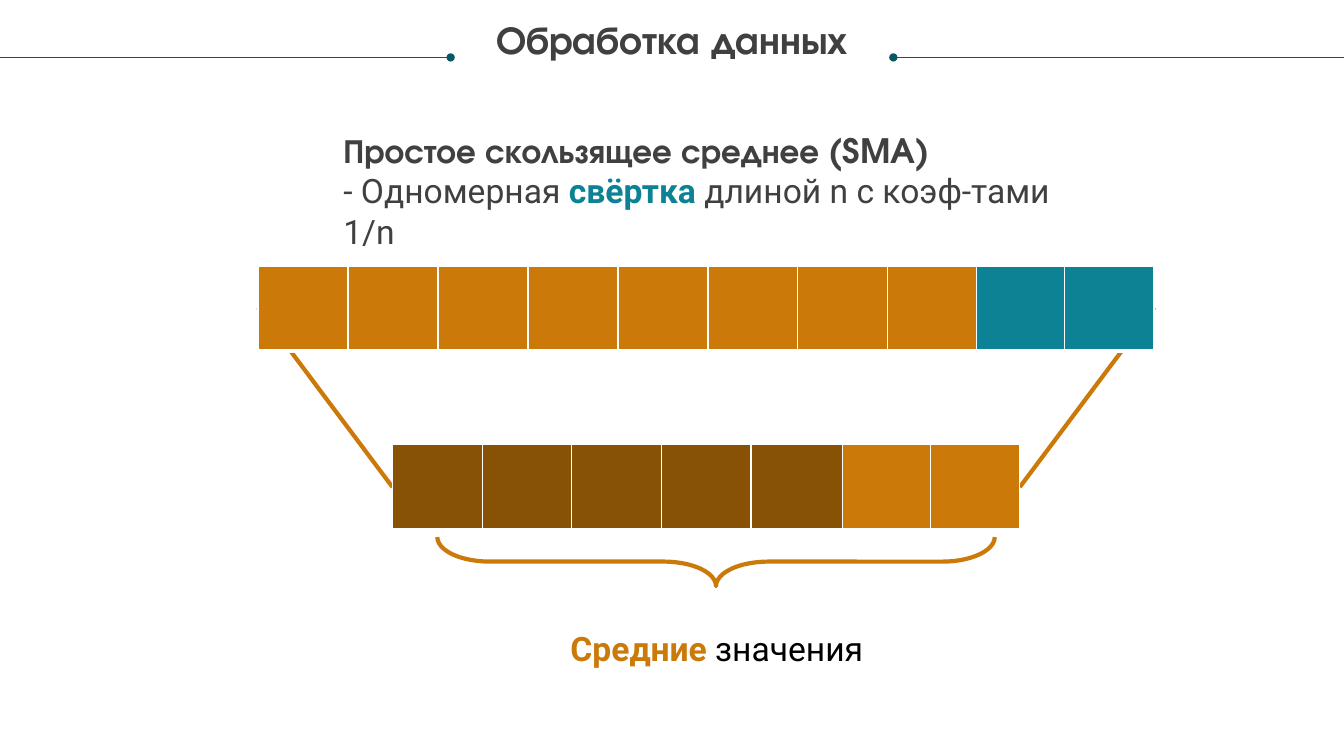
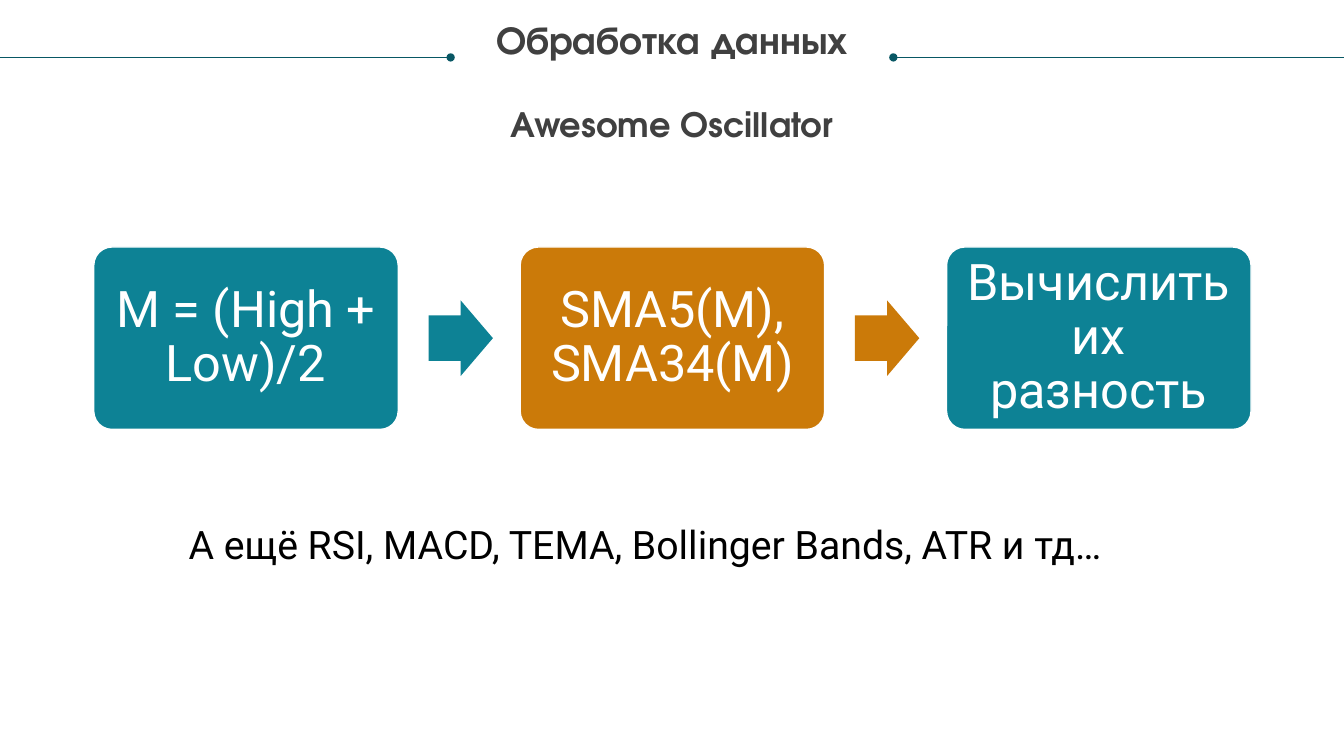
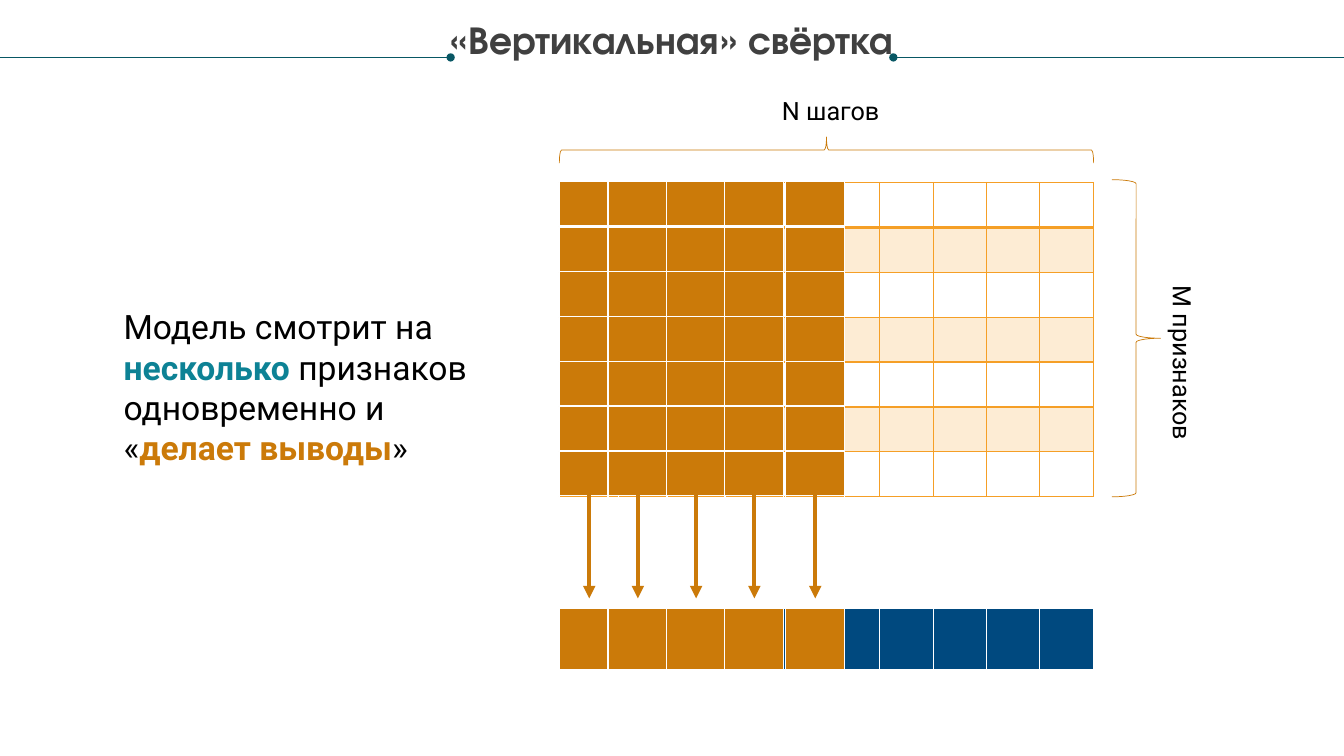
import pptx
import pptx.dml.color
import pptx.enum.shapes
import pptx.enum.text
import pptx.oxml
import pptx.oxml.ns
import pptx.util
from typing import NamedTuple

Pt = pptx.util.Pt
Inches = pptx.util.Inches
Shape = pptx.enum.shapes.MSO_SHAPE
Align = pptx.enum.text.PP_ALIGN
Anchor = pptx.enum.text.MSO_ANCHOR

COLORS = {
    "orange": "CB7A09", "brown": "875206", "teal": "0D8295", "navy": "00497F",
    "rule": "085764", "grid": "F59F26", "band": "FDECD4", "white": "FFFFFF",
    "black": "000000", "gray": "404040",
}
STYLES = {
    "title": {"name": "TeX Gyre Adventor", "size": Pt(28), "bold": True, "color": "gray"},
    "heading": {"name": "TeX Gyre Adventor", "size": Pt(24), "bold": True, "color": "gray"},
    "body": {"name": "Roboto", "size": Pt(24), "bold": False, "color": "black"},
    "gray body": {"name": "Roboto", "size": Pt(24), "bold": False, "color": "gray"},
    "teal key": {"name": "Roboto", "size": Pt(24), "bold": True, "color": "teal"},
    "orange key": {"name": "Roboto", "size": Pt(24), "bold": True, "color": "orange"},
    "label": {"name": "Roboto", "size": Pt(18), "bold": False, "color": "black"},
    "note": {"name": "Roboto", "size": Pt(28), "bold": False, "color": "black"},
    "step": {"name": "Roboto", "size": Pt(36), "bold": False, "color": "white"},
}
SLIDE_SIZE = Inches(13.33), Inches(7.5)


class Grid(NamedTuple):
    """A region measured in its own columns and rows."""
    left: float
    top: float
    column: float
    row: float

    def point(self, column, row):
        """Return the slide position of a grid point."""
        return int(self.left + column * self.column), int(self.top + row * self.row)

    def box(self, column, row, columns, rows):
        """Return left, top, width and height of a block of cells."""
        return *self.point(column, row), int(columns * self.column), int(rows * self.row)

    def inner(self, box, columns, rows):
        """Return a finer grid laid over a block of this one."""
        left, top, width, height = self.box(*box)
        return Grid(left, top, width / columns, height / rows)


PAGE = Grid(0, 0, SLIDE_SIZE[0] / 100, SLIDE_SIZE[1] / 100)


def rgb(color):
    """Return the named colour."""
    return pptx.dml.color.RGBColor.from_string(COLORS[color])


def assign(target, values):
    """Set every attribute of the dict on the target."""
    for name, value in values.items():
        setattr(target, name, value)


def turned(box):
    """Return the box that fills the given one after a quarter turn."""
    left, top, width, height = box
    return left + (width - height) // 2, top + (height - width) // 2, height, width


def write(shape, paragraphs, inset=(0.1, 0.05), align=Align.LEFT, spacing=1.0, anchor=Anchor.TOP):
    """Fill a shape with paragraphs of (text, style) runs."""
    frame = shape.text_frame
    side, end = map(Inches, inset)
    assign(frame, {"word_wrap": True, "vertical_anchor": anchor, "margin_left": side,
                   "margin_right": side, "margin_top": end, "margin_bottom": end})
    for index, runs in enumerate(paragraphs):
        paragraph = frame.add_paragraph() if index else frame.paragraphs[0]
        assign(paragraph, {"alignment": align, "line_spacing": spacing})
        for text, style in runs:
            run = paragraph.add_run()
            run.text = text
            values = dict(STYLES[style])
            run.font.color.rgb = rgb(values.pop("color"))
            assign(run.font, values)


def add_text(slide, box, paragraphs, rotation=0, **layout):
    """Add a text box, turned if a rotation is given."""
    shape = slide.shapes.add_textbox(*(turned(box) if rotation else box))
    shape.rotation = rotation
    write(shape, paragraphs, **layout)


def add_shape(slide, kind, box, fill=None, line=None, width=1, rotation=0, adjustments=()):
    """Add a flat preset shape."""
    shape = slide.shapes.add_shape(kind, *(turned(box) if rotation else box))
    shape.shadow.inherit = False
    shape.rotation = rotation
    for index, value in enumerate(adjustments):
        shape.adjustments[index] = value
    for target, color in ((shape.fill, fill), (shape.line.fill, line)):
        if color:
            target.solid()
            target.fore_color.rgb = rgb(color)
        else:
            target.background()
    if line:
        shape.line.width = Pt(width)
    return shape


def add_line(slide, start, end, color, width, **ends):
    """Add a straight line with optional headEnd and tailEnd marks."""
    line = slide.shapes.add_connector(pptx.enum.shapes.MSO_CONNECTOR.STRAIGHT, *start, *end)
    line.line.color.rgb = rgb(color)
    line.line.width = Pt(width)
    properties = line._element.spPr
    for tag, kind in ends.items():
        mark = pptx.oxml.parse_xml(f'<a:{tag} {pptx.oxml.ns.nsdecls("a")} type="{kind}"/>')
        line.line._get_or_add_ln().append(mark)
    properties.append(pptx.oxml.parse_xml(f'<a:effectLst {pptx.oxml.ns.nsdecls("a")}/>'))


def add_cells(slide, box, colors, border="white", heavy=3):
    """Add a table of empty cells, with a heavy line under its first row."""
    table = slide.shapes.add_table(len(colors), len(colors[0]), *box).table
    assign(table, {"first_row": False, "horz_banding": False})
    for row_index, row in enumerate(colors):
        for column_index, color in enumerate(row):
            cell = table.cell(row_index, column_index)
            widths = {"L": 1, "R": 1, "T": heavy if row_index == 1 else 1,
                      "B": heavy if row_index == 0 else 1}
            for side, width in widths.items():
                cell._tc.get_or_add_tcPr().append(pptx.oxml.parse_xml(
                    f'<a:ln{side} {pptx.oxml.ns.nsdecls("a")} w="{Pt(width)}"><a:solidFill>'
                    f'<a:srgbClr val="{COLORS[border]}"/></a:solidFill></a:ln{side}>'))
            cell.fill.solid()
            cell.fill.fore_color.rgb = rgb(color)


def add_header(slide, grid, title):
    """Draw the title between two rules that end in dots."""
    add_line(slide, grid.point(66.47, 50), grid.point(100, 50), "rule", 0.5, headEnd="oval")
    add_text(slide, grid.box(1.88, 17.6, 96.25, 74.56), [[(title, "title")]],
             inset=(0, 0), align=Align.CENTER, spacing=0.9)
    add_line(slide, grid.point(0, 50), grid.point(33.53, 50), "rule", 0.5, tailEnd="oval")


def add_averaging(slide, grid):
    """Draw the window sliding over the values and the averages it yields."""
    for outer, inner in ((0, 1.5), (10, 8.5)):
        add_line(slide, grid.point(outer, 0.49), grid.point(inner, 2.61), "orange", 3)
    add_cells(slide, grid.box(0, 0, 10, 1), [["teal"] * 10])
    add_cells(slide, grid.box(1.51, 2.11, 6.99, 1), [["orange"] * 7])
    for step in range(5):
        add_cells(slide, grid.box(step * 1.005, 0, 4, 1), [["orange"] * 4])
        add_cells(slide, grid.box(1.5 + step, 2.11, 1.02, 1), [["brown"]])
    add_shape(slide, Shape.RIGHT_BRACE, grid.box(2, 3.2, 6.22, 0.58), line="orange",
              width=3, rotation=90, adjustments=(1.07, 0.5))


def add_flow(slide, grid, steps):
    """Draw the steps as boxes joined by block arrows."""
    for index, (text, color) in enumerate(steps):
        start = index * 10
        step = add_shape(slide, Shape.ROUNDED_RECTANGLE, grid.box(start, 0, 7.14, 10),
                         fill=color, line="white", adjustments=(0.1,))
        write(step, [[(text, "step")]], inset=(0.14, 0.14), align=Align.CENTER,
              spacing=0.9, anchor=Anchor.MIDDLE)
        if index < len(steps) - 1:
            add_shape(slide, Shape.RIGHT_ARROW, grid.box(start + 7.85, 2.93, 1.51, 4.14),
                      fill=color, adjustments=(0.6, 0.5))


def add_matrix(slide, grid):
    """Draw the feature matrix, its braces and the row it folds into."""
    rows = [[("white", "band")[row % 2]] * 10 for row in range(7)]
    add_cells(slide, grid.box(0, 0.02, 10, 7), rows, border="grid", heavy=2)
    add_shape(slide, Shape.RIGHT_BRACE, grid.box(10.34, -0.04, 0.91, 7.06),
              line="orange", width=0.5)
    add_text(slide, grid.box(11.41, 2.1, 0.64, 5), [[("M признаков", "label")]], rotation=90)
    add_shape(slide, Shape.LEFT_BRACE, grid.box(0, -0.99, 10, 0.58),
              line="orange", width=0.5, rotation=90)
    add_text(slide, grid.box(3.98, -2.03, 5.23, 0.9), [[("N шагов", "label")]])
    add_cells(slide, grid.box(0, 9.51, 10, 1.39), [["navy"] * 10])
    for start in (0, 0.91, 2, 3.09, 4.23):
        add_cells(slide, grid.box(start, 0, 1.11, 7), [["orange"]] * 7)
        add_line(slide, grid.point(start + 0.56, 6.55), grid.point(start + 0.56, 9.28),
                 "orange", 3, tailEnd="triangle")
        add_cells(slide, grid.box(start, 9.51, 1.11, 1.39), [["orange"]])


def build_average(slide):
    """Fill the slide on the simple moving average."""
    add_text(slide, PAGE.box(24.81, 16.53, 55.58, 12.13), [
        [("Простое скользящее среднее (SMA)", "heading")],
        [("- Одномерная ", "gray body"), ("свёртка", "teal key"),
         (" длиной n с коэф-тами 1/n", "gray body")]])
    add_averaging(slide, PAGE.inner((19.2, 35.2, 66.68, 11.2), 10, 1))
    add_text(slide, PAGE.box(37.1, 82.4, 32.48, 6.67),
             [[("Средние", "orange key"), (" значения", "body")]], align=Align.CENTER)


def build_oscillator(slide):
    """Fill the slide on the oscillator."""
    add_text(slide, PAGE.box(18.34, 13.07, 63.3, 12.13),
             [[("Awesome Oscillator", "heading")]], align=Align.CENTER)
    add_flow(slide, PAGE.inner((6.98, 32.67, 95.18, 24.13), 30, 10), [
        ("M = (High + Low)/2", "teal"), ("SMA5(M), SMA34(M)", "orange"),
        ("Вычислить их разность", "teal")])
    add_text(slide, PAGE.box(5.92, 68.13, 84.15, 7.6),
             [[("А ещё RSI, MACD, TEMA, Bollinger Bands, ATR и тд…", "note")]],
             align=Align.CENTER)


def build_convolution(slide):
    """Fill the slide on the vertical convolution."""
    add_matrix(slide, PAGE.inner((41.62, 24, 39.75, 41.6), 10, 7))
    add_text(slide, PAGE.box(8.46, 39.87, 28.2, 22.93), [[
        ("Модель смотрит на ", "body"), ("несколько", "teal key"),
        (" признаков одновременно и «", "body"), ("делает выводы", "orange key"),
        ("»", "body")]])


def main():
    """Build and save the presentation."""
    presentation = pptx.Presentation()
    presentation.slide_width, presentation.slide_height = SLIDE_SIZE
    for title, build in (("Обработка данных", build_average),
                         ("Обработка данных", build_oscillator),
                         ("«Вертикальная» свёртка", build_convolution)):
        slide = presentation.slides.add_slide(presentation.slide_layouts[6])
        add_header(slide, PAGE.inner((0, 0, 100, 15.2), 100, 100), title)
        build(slide)
    presentation.save("out.pptx")


if __name__ == "__main__":
    main()
